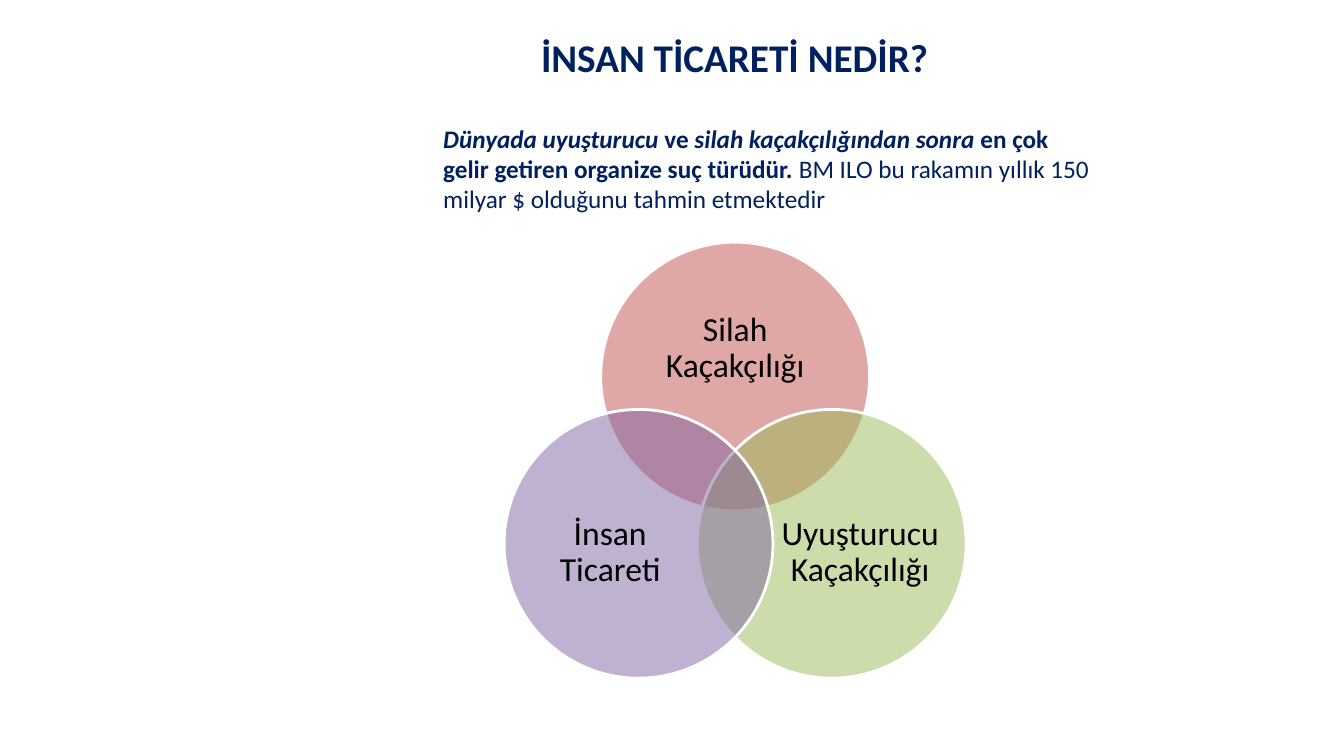
import math

import pptx
import pptx.util
import pptx.dml.color
import pptx.enum.shapes
import pptx.enum.text
import pptx.oxml.ns
from lxml import etree

RGB = pptx.dml.color.RGBColor
NAVY = RGB(0x00, 0x20, 0x60)
BLACK = RGB(0x00, 0x00, 0x00)
WHITE = RGB(0xFF, 0xFF, 0xFF)
RED = RGB(0xC0, 0x50, 0x4D)
GREEN = RGB(0x9B, 0xBB, 0x59)
VIOLET = RGB(0x80, 0x64, 0xA2)

FONT = "Calibri"
WIDE = pptx.util.Inches(13.33)
HIGH = pptx.util.Inches(7.5)
COL = WIDE / 100
ROW = HIGH / 100

MID_X, MID_Y = 54.7, 64.56
ORBIT = 8.3
SIZE = 20

RINGS = [
    (RED, -90, "Silah Kaçakçılığı", (0, -18.43), (14.7, 16)),
    (GREEN, 30, "Uyuşturucu Kaçakçılığı", (9.3, 8.57), (12, 19.6)),
    (VIOLET, 150, "İnsan Ticareti", (-9.3, 8.57), (12, 19.6)),
]

BODY = [
    ("Dünyada uyuşturucu ", True, True),
    ("ve ", True, False),
    ("silah kaçakçılığından sonra ", True, True),
    ("en çok gelir getiren organize suç türüdür. ", True, False),
    ("BM ILO bu rakamın yıllık 150 milyar $ olduğunu tahmin etmektedir", False, False),
]


def style(run, size, color, bold=False, slant=False):
    font = run.font
    font.name, font.size = FONT, pptx.util.Pt(size)
    font.bold, font.italic = bold, slant
    font.color.rgb = color


def add_box(shapes, left, top, cols, rows):
    box = shapes.add_textbox(int(left * COL), int(top * ROW), int(cols * COL), int(rows * ROW))
    box.text_frame.word_wrap = True
    return box.text_frame


def add_label(shapes, text, place, size, color, bold=False):
    frame = add_box(shapes, *place)
    frame.text = text
    frame.vertical_anchor = pptx.enum.text.MSO_ANCHOR.MIDDLE
    para = frame.paragraphs[0]
    para.alignment = pptx.enum.text.PP_ALIGN.CENTER
    style(para.runs[0], size, color, bold)
    return frame


def add_ring(shapes, color, angle):
    side = int(SIZE * COL)
    turn = math.radians(angle)
    left = (MID_X + ORBIT * math.cos(turn)) * COL - side / 2
    top = MID_Y * ROW + ORBIT * math.sin(turn) * COL - side / 2
    oval = pptx.enum.shapes.MSO_SHAPE.OVAL
    ring = shapes.add_shape(oval, int(left), int(top), side, side)
    ring.shadow.inherit = False
    ring.fill.solid()
    ring.fill.fore_color.rgb = color
    ring.line.color.rgb = WHITE
    ring.line.width = pptx.util.Pt(2)
    qn = pptx.oxml.ns.qn
    tint = ring.fill._xPr.find(qn("a:solidFill")).find(qn("a:srgbClr"))
    etree.SubElement(tint, qn("a:alpha")).set("val", "50000")


def add_venn(slide):
    shapes = slide.shapes.add_group_shape().shapes
    for color, angle, text, shift, size in RINGS:
        add_ring(shapes, color, angle)
        cols, rows = size
        place = (MID_X + shift[0] - cols / 2, MID_Y + shift[1] - rows / 2, cols, rows)
        frame = add_label(shapes, text, place, 24, BLACK)
        frame.margin_left = frame.margin_right = 0
        frame.margin_top = frame.margin_bottom = 0
        frame.paragraphs[0].line_spacing = 0.9


def add_body(slide):
    frame = add_box(slide.shapes, 27.23, 15.6, 54.9, 20.67)
    frame.margin_left = int(5.75 * COL)
    para = frame.paragraphs[0]
    for text, bold, slant in BODY:
        run = para.add_run()
        run.text = text
        style(run, 18, NAVY, bold, slant)


def main():
    deck = pptx.Presentation()
    deck.slide_width, deck.slide_height = WIDE, HIGH
    slide = deck.slides.add_slide(deck.slide_layouts[6])
    add_label(slide.shapes, "İNSAN TİCARETİ NEDİR?", (12.15, -3.2, 85, 21.47), 28, NAVY, True)
    add_venn(slide)
    add_body(slide)
    deck.save("out.pptx")


if __name__ == "__main__":
    main()
